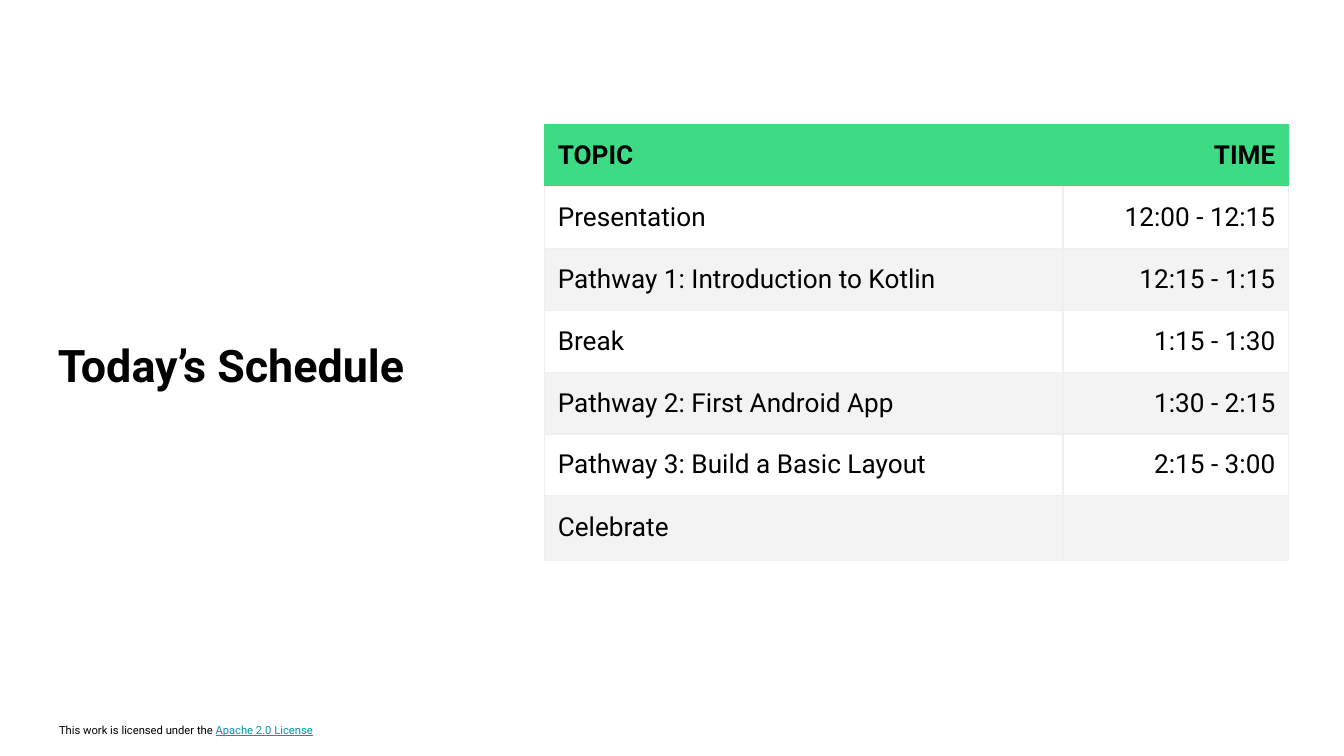
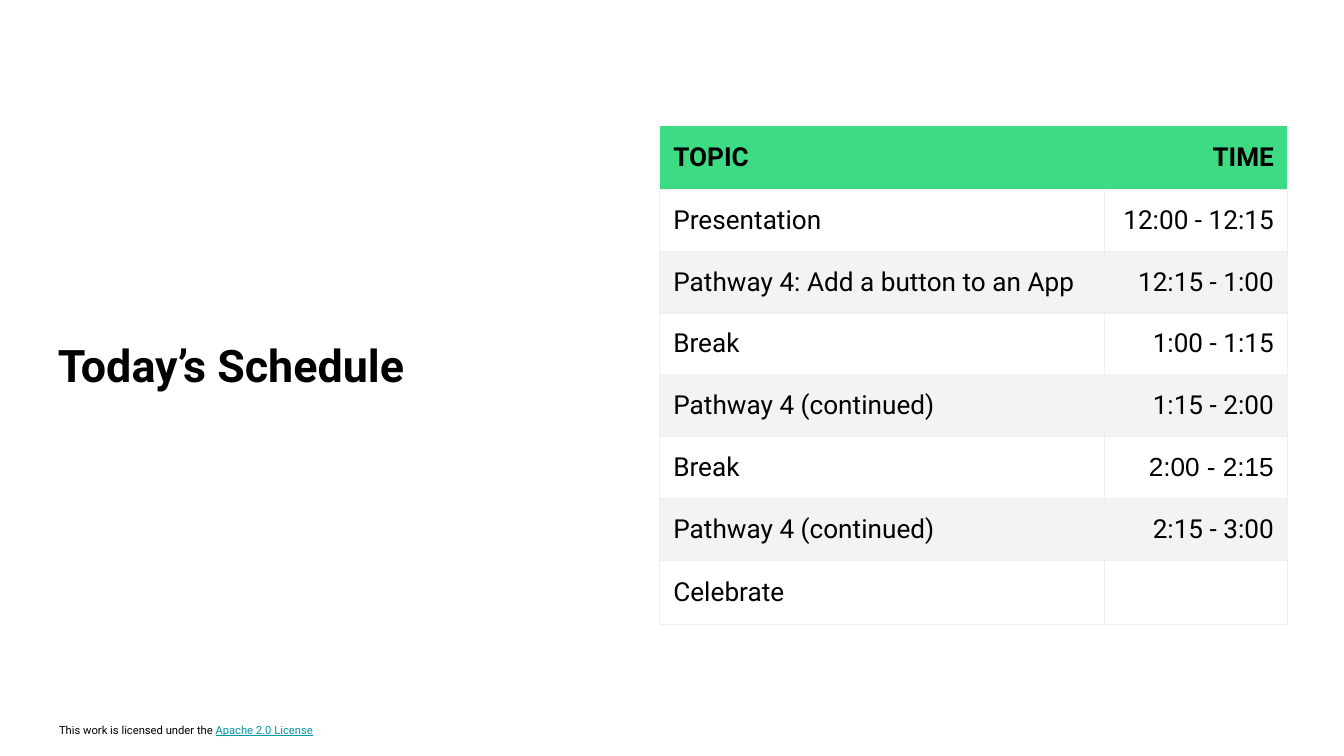
from lxml.etree import SubElement
from pptx import Presentation
from pptx.dml.color import RGBColor
from pptx.enum.text import MSO_ANCHOR, PP_ALIGN
from pptx.oxml.ns import qn
from pptx.util import Inches, Pt

BLACK = RGBColor(0x00, 0x00, 0x00)
GREEN = RGBColor(0x3D, 0xDC, 0x84)
BAND_GREY = RGBColor(0xF3, 0xF3, 0xF3)
BORDER_GREY = RGBColor(0xEF, 0xEF, 0xEF)
LINK_TEAL = RGBColor(0x00, 0x97, 0xA7)
FONT = "Roboto"
PLAIN_FONT = "Arial"

HEADER = ("TOPIC", "TIME")
HEADER_HEIGHT, ROW_HEIGHT = 0.47, 0.46

FIRST_DAY = [
    ("Presentation", "12:00 - 12:15"),
    ("Pathway 1: Introduction to Kotlin", "12:15 - 1:15"),
    ("Break", "1:15 - 1:30"),
    ("Pathway 2: First Android App", "1:30 - 2:15"),
    ("Pathway 3: Build a Basic Layout", "2:15 - 3:00"),
    ("Celebrate", ""),
]
SECOND_DAY = [
    ("Presentation", "12:00 - 12:15"),
    ("Pathway 4: Add a button to an App", "12:15 - 1:00"),
    ("Break", "1:00 - 1:15"),
    ("Pathway 4 (continued)", "1:15 - 2:00"),
    ("Break", "2:00 - 2:15"),
    ("Pathway 4 (continued)", "2:15 - 3:00"),
    ("Celebrate", ""),
]
PLAIN_TIMES = {"2:00 - 2:15"}


def format_run(run, size, color=BLACK, bold=False, font=FONT):
    run.font.name = font
    run.font.size = Pt(size)
    run.font.bold = bold
    run.font.color.rgb = color


def set_insets(frame, inset):
    frame.margin_left = frame.margin_right = Inches(inset)
    frame.margin_top = frame.margin_bottom = Inches(inset)


def add_license_footer(layout, slide):
    """Build the licence line and hand it to the layout, so every slide shows it."""
    footer = slide.shapes.add_textbox(
        Inches(0.38), Inches(5.28), Inches(2.74), Inches(0.17))
    frame = footer.text_frame
    frame.word_wrap = True
    set_insets(frame, 0.06)
    line = frame.paragraphs[0]
    line.line_spacing = 1.4
    for text, color in (("This work is licensed under the ", BLACK),
                        ("Apache 2.0 License", LINK_TEAL)):
        run = line.add_run()
        run.text = text
        format_run(run, 6, color)
    run.font.underline = True
    footer._element.nvSpPr.cNvPr.set("id", "20")
    layout.shapes._spTree.append(footer._element)


def place_title(slide, text):
    title = slide.shapes.title
    title.left, title.top = Inches(0.33), Inches(2.41)
    title.width, title.height = Inches(4.67), Inches(0.8)
    frame = title.text_frame
    frame.text = text
    frame.word_wrap = True
    frame.vertical_anchor = MSO_ANCHOR.TOP
    set_insets(frame, 0.1)
    line = frame.paragraphs[0]
    line.alignment = PP_ALIGN.LEFT
    format_run(line.runs[0], 24, bold=True)


def set_borders(cell, visible_sides):
    properties = cell._tc.get_or_add_tcPr()
    for side in "LRTB":
        border = SubElement(properties, qn(f"a:ln{side}"), w=str(Pt(0.75)))
        if side in visible_sides:
            fill = SubElement(border, qn("a:solidFill"))
            SubElement(fill, qn("a:srgbClr"), val=str(BORDER_GREY))
        else:
            SubElement(border, qn("a:noFill"))


def fill_cell(cell, text, row, column):
    is_header = row == 0
    set_borders(cell, "B" if is_header else "LRTB")
    if is_header or row % 2 == 0:
        cell.fill.solid()
        cell.fill.fore_color.rgb = GREEN if is_header else BAND_GREY
    else:
        cell.fill.background()
    cell.vertical_anchor = MSO_ANCHOR.MIDDLE
    set_insets(cell, 0.1)
    line = cell.text_frame.paragraphs[0]
    line.alignment = PP_ALIGN.RIGHT if column else PP_ALIGN.LEFT
    if text:
        line.text = text
        font = PLAIN_FONT if text in PLAIN_TIMES else FONT
        format_run(line.runs[0], 14, bold=is_header, font=font)
    else:
        SubElement(line._p.get_or_add_endParaRPr(), qn("a:latin"),
                   typeface=PLAIN_FONT)


def add_schedule_table(slide, sessions, left, top, widths):
    rows = [HEADER, *sessions]
    heights = [HEADER_HEIGHT] + [ROW_HEIGHT] * len(sessions)
    table = slide.shapes.add_table(
        len(rows), len(HEADER), Inches(left), Inches(top),
        Inches(sum(widths)), Inches(sum(heights))).table
    table.horz_banding = False
    for column, width in zip(table.columns, widths):
        column.width = Inches(width)
    for index, (texts, height) in enumerate(zip(rows, heights)):
        table.rows[index].height = Inches(height)
        for column, text in enumerate(texts):
            fill_cell(table.cell(index, column), text, index, column)


def add_schedule_slide(prs, layout, sessions, left, top, widths):
    slide = prs.slides.add_slide(layout)
    add_schedule_table(slide, sessions, left, top, widths)
    place_title(slide, "Today’s Schedule")
    return slide


def main():
    prs = Presentation()
    prs.slide_width = Inches(10)
    prs.slide_height = prs.slide_width * 9 // 16
    title_only = prs.slide_layouts[5]
    first = add_schedule_slide(prs, title_only, FIRST_DAY, 4.05, 0.92, (3.86, 1.68))
    add_schedule_slide(prs, title_only, SECOND_DAY, 4.91, 0.94, (3.31, 1.36))
    add_license_footer(title_only, first)
    prs.save("out.pptx")


if __name__ == "__main__":
    main()
